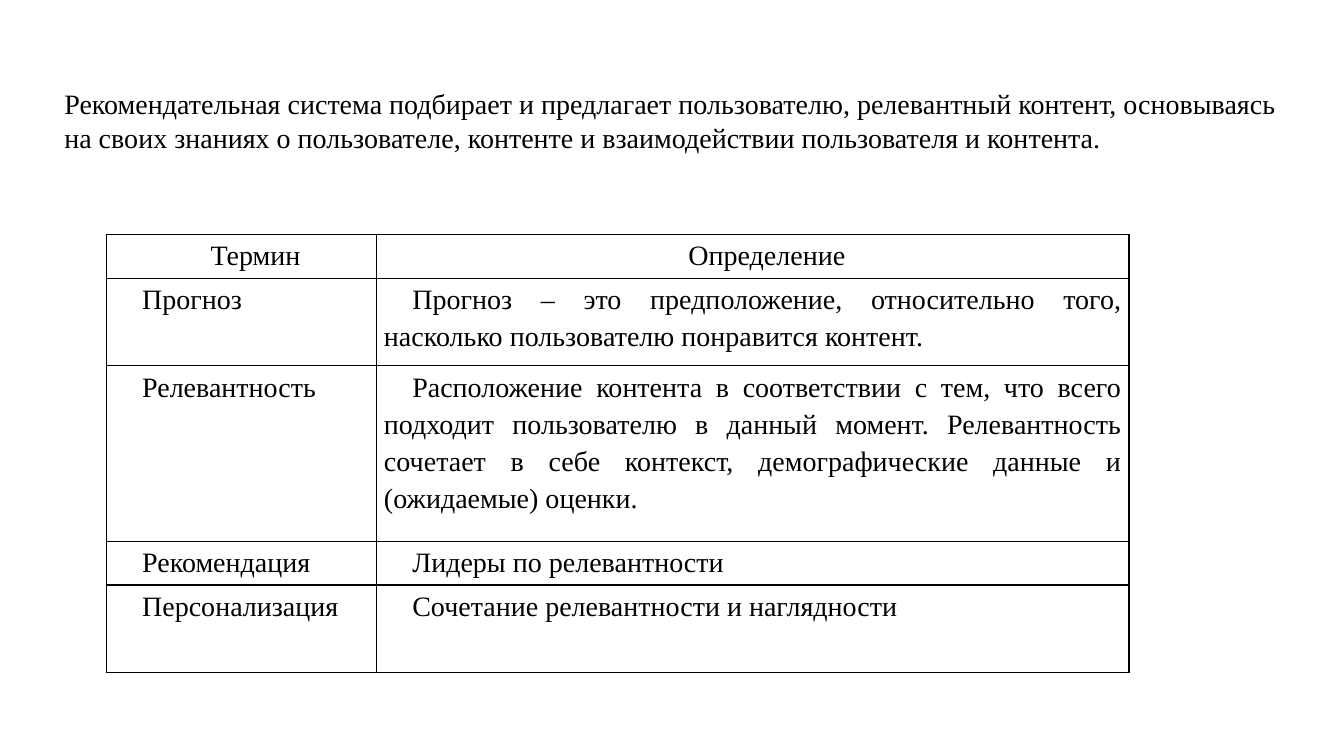
import pptx
import pptx.util
import pptx.dml.color
import pptx.enum.text
import pptx.oxml.ns
import lxml.etree

Pt = pptx.util.Pt
ALIGN = pptx.enum.text.PP_ALIGN

INTRO = ("Рекомендательная система подбирает и предлагает пользователю, "
         "релевантный контент, основываясь на своих знаниях о пользователе, "
         "контенте и взаимодействии пользователя и контента.")
# Term, definition, height in row units
TERMS = [
    ("Термин", "Определение", 1),
    ("Прогноз", "Прогноз – это предположение, относительно того, насколько "
     "пользователю понравится контент.", 2),
    ("Релевантность", "Расположение контента в соответствии с тем, что всего "
     "подходит пользователю в данный момент. Релевантность сочетает в себе "
     "контекст, демографические данные и (ожидаемые) оценки.", 4),
    ("Рекомендация", "Лидеры по релевантности", 1),
    ("Персонализация", "Сочетание релевантности и наглядности", 2),
]
WIDTHS = (193, 537.5)
UNIT = 31.32
LEFT, TOP = 75.9, 167.4
INK = "000000"
FONT = {"name": "Times New Roman", "size": Pt(20), "bold": False}
CELL = {"margin_left": Pt(5.4), "margin_right": Pt(5.4),
        "margin_top": 0, "margin_bottom": 0}


def color(code):
    return pptx.dml.color.RGBColor.from_string(code)


def put(item, values):
    """Set each attribute of item from a dict."""
    for key, value in values.items():
        setattr(item, key, value)


def write(frame, text):
    para = frame.paragraphs[0]
    run = para.add_run()
    run.text = text
    put(run.font, FONT)
    run.font.color.rgb = color(INK)
    return para


def border(cell):
    props = cell._tc.get_or_add_tcPr()
    qn = pptx.oxml.ns.qn
    for spot, side in enumerate(("lnL", "lnR", "lnT", "lnB")):
        line = lxml.etree.Element(qn("a:" + side), w=str(Pt(1)))
        fill = lxml.etree.SubElement(line, qn("a:solidFill"))
        lxml.etree.SubElement(fill, qn("a:srgbClr"), val=INK)
        props.insert(spot, line)


def main():
    deck = pptx.Presentation()
    put(deck, {"slide_width": Pt(960), "slide_height": Pt(540)})
    slide = deck.slides.add_slide(deck.slide_layouts[6])

    high = UNIT * sum(size for _, _, size in TERMS)
    table = slide.shapes.add_table(
        len(TERMS), len(WIDTHS), Pt(LEFT), Pt(TOP),
        Pt(sum(WIDTHS)), Pt(high)).table
    put(table, {"first_row": False, "horz_banding": False})
    for col, width in zip(table.columns, WIDTHS):
        col.width = Pt(width)
    for row, (term, sense, size) in enumerate(TERMS):
        table.rows[row].height = Pt(UNIT * size)
        for cell, text in zip(table.rows[row].cells, (term, sense)):
            put(cell, CELL)
            cell.fill.background()
            border(cell)
            para = write(cell.text_frame, text)
            put(para, {"alignment": ALIGN.JUSTIFY if row else ALIGN.CENTER,
                       "line_spacing": 1.2})
            para._p.get_or_add_pPr().set("indent", str(Pt(20.2)))

    intro = slide.shapes.add_textbox(Pt(38.9), Pt(58.3), Pt(881.3), Pt(55.7))
    put(intro.text_frame, {
        "word_wrap": True,
        "auto_size": pptx.enum.text.MSO_AUTO_SIZE.SHAPE_TO_FIT_TEXT})
    write(intro.text_frame, INTRO)
    deck.save("out.pptx")


if __name__ == "__main__":
    main()
